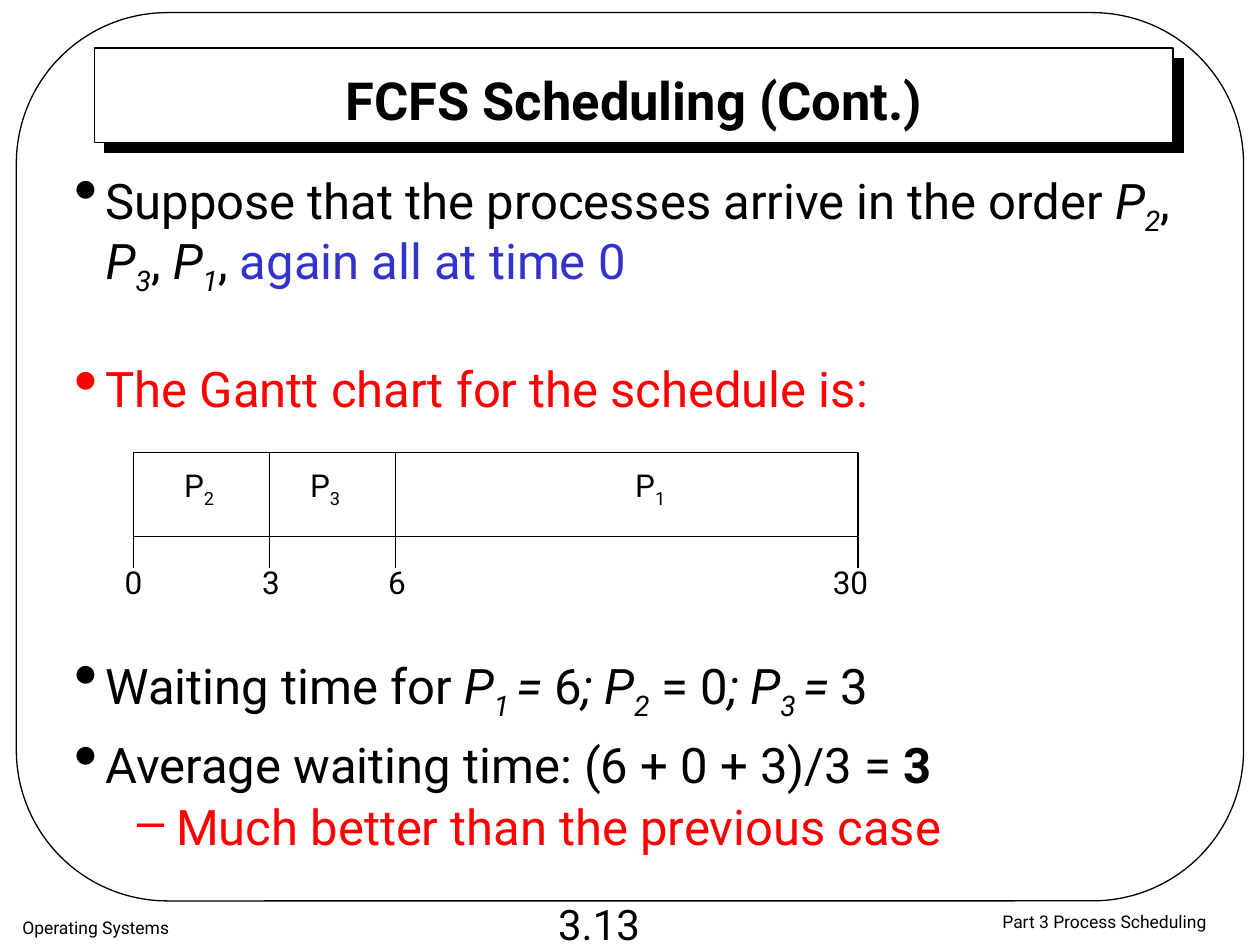
from lxml import etree
from pptx import Presentation, util as u
from pptx.dml.color import RGBColor
from pptx.enum import shapes, text
from pptx.oxml.ns import qn

PX = 9144  # EMU per px, 100 px to the inch
FONT = "Roboto"
BLACK, WHITE, RED, BLUE = "000000", "FFFFFF", "FF0000", "3333CC"
ALIGN, ANCHOR = text.PP_ALIGN, text.MSO_ANCHOR
SHAPE = shapes.MSO_SHAPE


def px(*values):
    return [u.Emu(v * PX) for v in values]


def color(hex_code):
    return RGBColor.from_string(hex_code)


def child(parent, tag, **attrs):
    return etree.SubElement(parent, qn(tag), {k: str(v) for k, v in attrs.items()})


def write(p, words, size=28, fill=BLACK, bold=False, italic=False, sub=False):
    r = p.add_run()
    r.text = words
    f = r.font
    f.name, f.size, f.bold, f.italic = FONT, u.Pt(size), bold, italic
    f.color.rgb = color(fill)
    if sub:
        f._element.set("baseline", "-25000")


def add_text(s, box, align=ALIGN.LEFT, anchor=ANCHOR.TOP, wrap=True):
    tf = s.shapes.add_textbox(*px(*box)).text_frame
    tf.word_wrap, tf.vertical_anchor = wrap, anchor
    tf.paragraphs[0].alignment = align
    return tf


def add_label(s, center, top, words, sub="", size=18, width=48, height=40):
    tf = add_text(s, (center - width // 2, top, width, height),
                  ALIGN.CENTER, ANCHOR.MIDDLE, wrap=False)
    p = tf.paragraphs[0]
    write(p, words, size)
    if sub:
        write(p, sub, size, sub=True)


def add_box(s, kind, box, fill=None):
    sp = s.shapes.add_shape(kind, *px(*box))
    sp.shadow.inherit = False
    if fill:
        sp.fill.solid()
        sp.fill.fore_color.rgb = color(fill)
    else:
        sp.fill.background()
    sp.line.color.rgb, sp.line.width = color(BLACK), u.Pt(0.75)
    return sp


def add_shadow(sp):
    effects = sp._element.spPr.find(qn("a:effectLst"))
    shadow = child(effects, "a:outerShdw", dist=u.Pt(8.5), dir=45 * 60000,
                   algn="ctr", rotWithShape=0)
    child(shadow, "a:srgbClr", val=BLACK)


def add_line(s, x, top, bottom):
    c = s.shapes.add_connector(shapes.MSO_CONNECTOR.STRAIGHT, *px(x, top, x, bottom))
    c.line.color.rgb, c.line.width = color(BLACK), u.Pt(0.75)
    child(c._element.spPr, "a:effectLst")


def add_bullet(p, char, left, hang, fill, scale):
    pPr = p._p.get_or_add_pPr()
    pPr.set("marL", str(left * PX))
    pPr.set("indent", str(-hang * PX))
    child(child(pPr, "a:buClr"), "a:srgbClr", val=fill)
    child(pPr, "a:buSzPct", val=scale * 1000)
    child(pPr, "a:buChar", char=char)


def add_frame(s):
    add_shadow(add_box(s, SHAPE.RECTANGLE, (75, 38, 856, 75), WHITE))
    add_box(s, SHAPE.ROUNDED_RECTANGLE, (13, 10, 974, 705)).adjustments[0] = 0.17

    # Footer
    tf = add_text(s, (780, 718, 193, 32), ALIGN.CENTER)
    write(tf.paragraphs[0], "Part 3 Process Scheduling", 10)
    tf = add_text(s, (8, 723, 386, 35))
    write(tf.paragraphs[0], "Operating Systems", 10)
    add_label(s, 475, 708, "3.13", size=24, width=89, height=50)

    # Title
    tf = add_text(s, (127, 54, 753, 50), ALIGN.CENTER, ANCHOR.MIDDLE)
    write(tf.paragraphs[0], "FCFS Scheduling (Cont.)", 30, bold=True)


def add_body(s):
    it, sub, red = dict(italic=True), dict(italic=True, sub=True), dict(fill=RED)
    # Space before in points, then runs of text with their format
    points = [
        (0, [("Suppose that the processes arrive in the order ", {}),
             ("P", it), ("2", sub), (", ", {}), ("P", it), ("3", sub), (", ", {}),
             ("P", it), ("1", sub), (", ", {}),
             ("again all at time 0", dict(fill=BLUE))]),
        (42, [("The Gantt chart for the schedule is:", red)]),
        (136, [("Waiting time for ", {}), ("P", it), ("1 ", sub), ("=", it), (" 6", {}),
               ("; P", it), ("2", sub), (" = 0", {}),
               ("; P", it), ("3 ", sub), ("= ", it), ("3", {})]),
        (14, [("Average waiting time: (6 + 0 + 3)/3 = ", {}), ("3", dict(bold=True))]),
    ]
    tf = add_text(s, (49, 131, 931, 543))
    p = tf.paragraphs[0]
    for i, (before, runs) in enumerate(points):
        p = tf.add_paragraph() if i else p
        p.line_spacing, p.space_before = 0.9, u.Pt(before)
        add_bullet(p, "•", 25, 25, runs[0][1].get("fill", BLACK), 140)
        for words, fmt in runs:
            write(p, words, **fmt)

    # Sub-point
    p = tf.add_paragraph()
    p.level, p.line_spacing, p.space_before = 1, 0.9, u.Pt(5.6)
    add_bullet(p, "–", 81, 31, RED, 100)
    write(p, "Much better than the previous case", fill=RED)


def add_gantt(s):
    top, bottom, tick_end = 359, 426, 451
    times = [("0", 106, 106), ("3", 214, 215), ("6", 314, 315), ("30", 681, 675)]
    left, right = times[0][1], times[-1][1]
    add_box(s, SHAPE.RECTANGLE, (left, top, right - left, bottom - top), WHITE)
    for time, x, center in times:
        inner = left < x < right
        add_line(s, x, top if inner else bottom, tick_end)
        add_label(s, center, 442, time)
    for number, center in (("2", 158), ("3", 258), ("1", 516)):
        add_label(s, center, 367, "P", number)


def main():
    prs = Presentation()
    prs.slide_width, prs.slide_height = px(1000, 750)
    s = prs.slides.add_slide(prs.slide_layouts[6])
    add_frame(s)
    add_body(s)
    add_gantt(s)
    prs.save("out.pptx")


if __name__ == "__main__":
    main()
